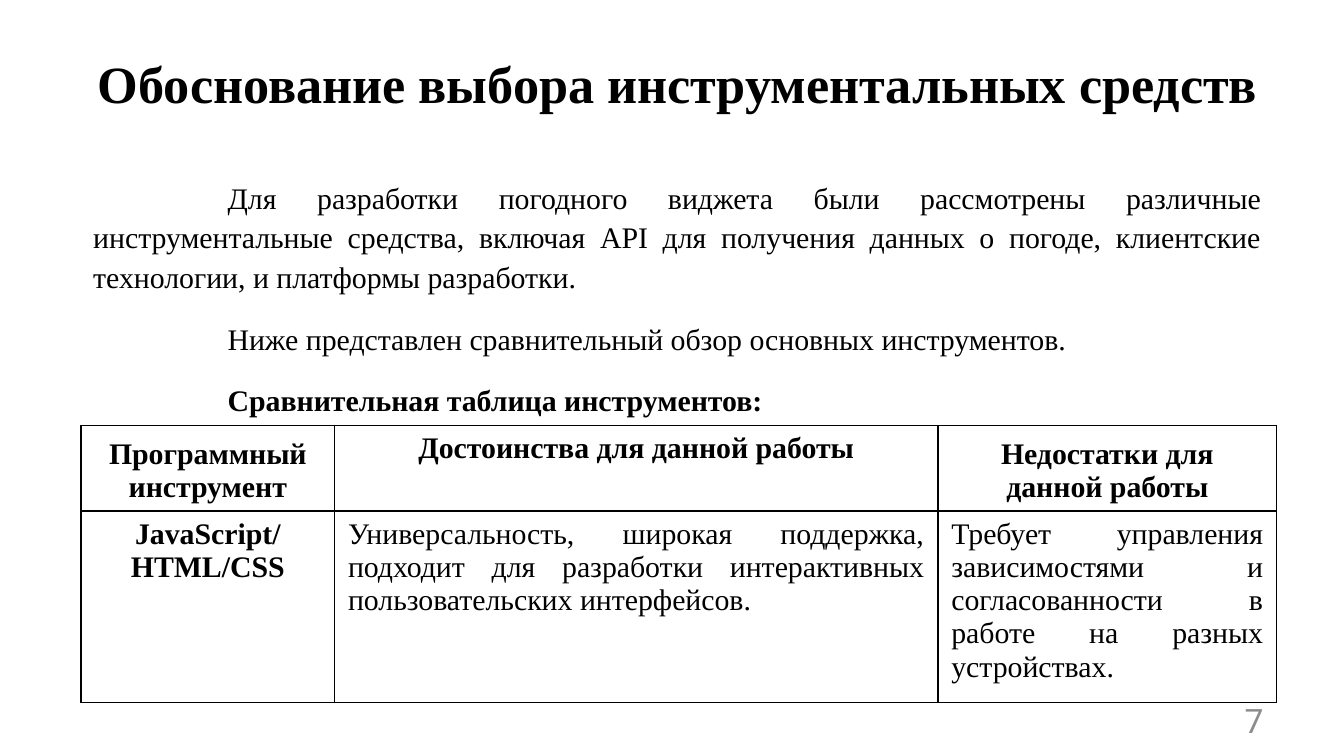
from lxml.etree import SubElement
from pptx import Presentation
from pptx.dml.color import RGBColor
from pptx.enum.text import MSO_ANCHOR as Anchor, MSO_AUTO_SIZE as AutoSize, PP_ALIGN as Align
from pptx.oxml.ns import qn
from pptx.util import Pt

PX = 9525  # 96 px to the inch
SERIF = "Times New Roman"
BLACK = "000000"

TITLE = "Обоснование выбора инструментальных средств"
BODY = [
    ("Для разработки погодного виджета были рассмотрены различные инструментальные "
     "средства, включая API для получения данных о погоде, клиентские технологии, "
     "и платформы разработки.", False),
    ("Ниже представлен сравнительный обзор основных инструментов.", False),
    ("Сравнительная таблица инструментов:", True),
]
TABLE = [
    ["Программный инструмент", "Достоинства для данной работы", "Недостатки для данной работы"],
    ["JavaScript/HTML/CSS",
     "Универсальность, широкая поддержка, подходит для разработки интерактивных "
     "пользовательских интерфейсов.",
     "Требует управления зависимостями и согласованности в работе на разных устройствах."],
]
COLUMN_WIDTHS = [181, 431, 242]
ROW_HEIGHTS = [61, 137]


def color(hex_string):
    return RGBColor.from_string(hex_string)


def emu(box):
    return [length * PX for length in box]


def place(shape, box):
    shape.left, shape.top, shape.width, shape.height = emu(box)


def add_run(paragraph, text, size, bold=False, font=SERIF, fill=BLACK):
    run = paragraph.add_run()
    run.text = text
    run.font.name = font
    run.font.size = Pt(size)
    run.font.bold = bold
    run.font.color.rgb = color(fill)


def setup_frame(frame, anchor):
    frame.word_wrap = True
    frame.auto_size = AutoSize.NONE
    frame.vertical_anchor = anchor


def fill_title(slide, box):
    title = slide.shapes.title
    place(title, box)
    setup_frame(title.text_frame, Anchor.TOP)
    paragraph = title.text_frame.paragraphs[0]
    paragraph.alignment = Align.CENTER
    add_run(paragraph, TITLE, 28, bold=True)


def fill_body(slide, box):
    body = slide.placeholders[1]
    place(body, box)
    frame = body.text_frame
    setup_frame(frame, Anchor.TOP)
    for index, (text, bold) in enumerate(BODY):
        paragraph = frame.add_paragraph() if index else frame.paragraphs[0]
        paragraph.alignment = Align.JUSTIFY
        paragraph.line_spacing = 1.1
        paragraph.space_before = paragraph.space_after = Pt(6)
        properties = paragraph._p.get_or_add_pPr()
        properties.set("marL", "0")
        properties.set("indent", str(96 * PX))
        SubElement(properties, qn("a:buNone"))
        add_run(paragraph, text, 16, bold)


def outline_cell(cell):
    properties = cell._tc.get_or_add_tcPr()
    for side in ("lnL", "lnR", "lnT", "lnB"):
        line = SubElement(properties, qn(f"a:{side}"), w=str(Pt(1)))
        fill = SubElement(line, qn("a:solidFill"))
        SubElement(fill, qn("a:srgbClr"), val=BLACK)


def add_comparison_table(slide, box):
    table = slide.shapes.add_table(len(TABLE), len(COLUMN_WIDTHS), *emu(box)).table
    table.first_row = table.horz_banding = False
    for column, width in zip(table.columns, COLUMN_WIDTHS):
        column.width = width * PX
    for row, height in zip(table.rows, ROW_HEIGHTS):
        row.height = height * PX
    for row, texts in enumerate(TABLE):
        for column, text in enumerate(texts):
            cell = table.cell(row, column)
            outline_cell(cell)
            cell.fill.background()
            heading = row == 0 or column == 0
            cell.vertical_anchor = Anchor.BOTTOM if row == 0 and column != 1 else Anchor.TOP
            paragraph = cell.text_frame.paragraphs[0]
            paragraph.alignment = Align.CENTER if heading else Align.JUSTIFY
            add_run(paragraph, text, 16, bold=heading)


def add_page_number(slide, box):
    frame = slide.shapes.add_textbox(*emu(box)).text_frame
    setup_frame(frame, Anchor.MIDDLE)
    paragraph = frame.paragraphs[0]
    paragraph.alignment = Align.RIGHT
    add_run(paragraph, "7", 18, font="Roboto", fill="8C8C8C")


def main():
    presentation = Presentation()
    presentation.slide_width, presentation.slide_height = emu((960, 540))
    slide = presentation.slides.add_slide(presentation.slide_layouts[1])
    fill_title(slide, (57, 32, 854, 55))
    fill_body(slide, (57, 121, 854, 366))
    add_comparison_table(slide, (58, 304, sum(COLUMN_WIDTHS), sum(ROW_HEIGHTS)))
    add_page_number(slide, (688, 500, 224, 29))
    presentation.save("out.pptx")


if __name__ == "__main__":
    main()
